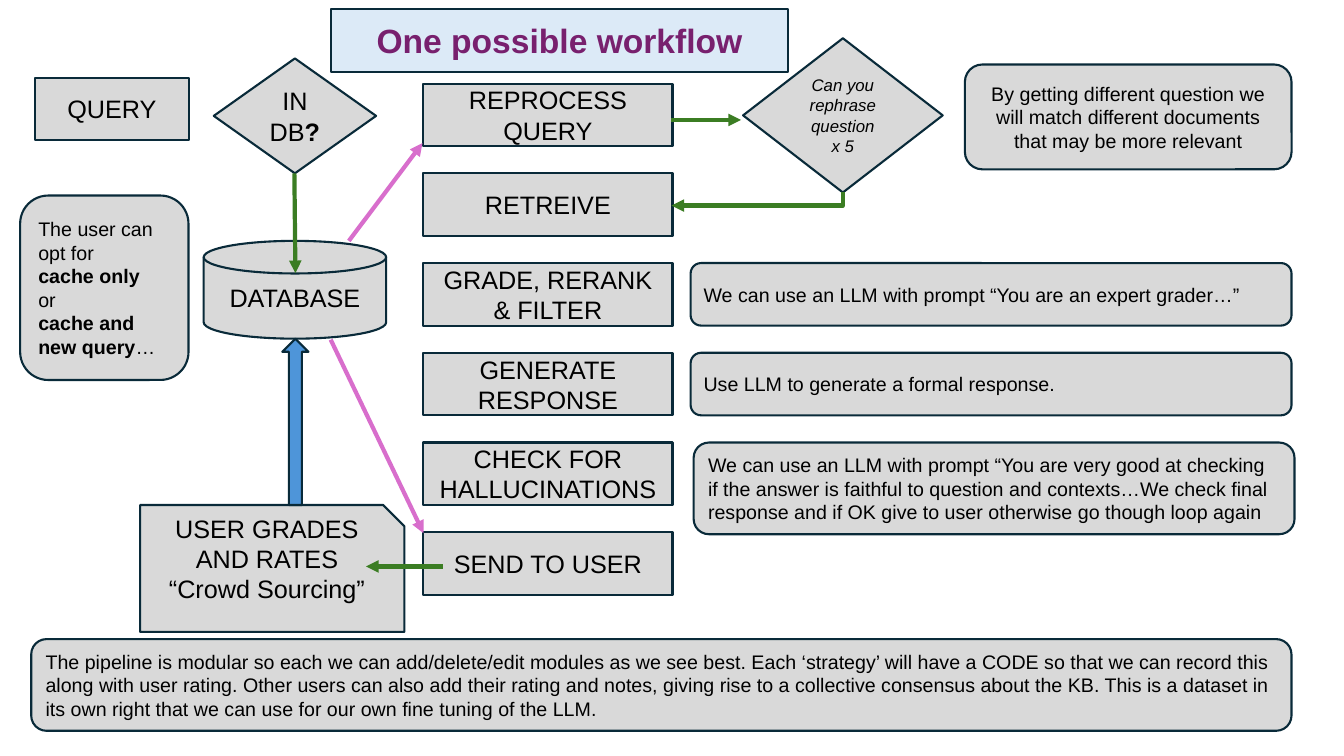
import pptx
import pptx.util
import pptx.dml.color
import pptx.enum.shapes
import pptx.enum.text
from pptx.util import Inches

RGBColor = pptx.dml.color.RGBColor
Kind = pptx.enum.shapes.MSO_SHAPE
Link = pptx.enum.shapes.MSO_CONNECTOR
Align = pptx.enum.text.PP_ALIGN
GREY = RGBColor(0xD9, 0xD9, 0xD9)
NAVY = RGBColor(0x09, 0x2A, 0x39)
BLACK = RGBColor(0, 0, 0)
BLUE = RGBColor(0x4E, 0x95, 0xD9)
PALE = RGBColor(0xDC, 0xEA, 0xF7)
PLUM = RGBColor(0x78, 0x20, 0x6E)
PINK = RGBColor(0xD8, 0x6E, 0xCC)
GREEN = RGBColor(0x3B, 0x7D, 0x23)

STEPS = ["REPROCESS QUERY", "RETREIVE", "GRADE, RERANK & FILTER",
         "GENERATE RESPONSE", "CHECK FOR\nHALLUCINATIONS", "SEND TO USER"]
PITCH = 0.89
HIGH = 0.62


def paint(shape, fill):
    shape.fill.solid()
    shape.fill.fore_color.rgb = fill
    shape.line.color.rgb = NAVY
    shape.line.width = pptx.util.Pt(1.5)


def write(shape, text, size, color=BLACK, align=Align.CENTER, italic=False):
    frame = shape.text_frame
    frame.word_wrap = True
    frame.vertical_anchor = pptx.enum.text.MSO_ANCHOR.MIDDLE
    for row, line in enumerate(text.split("\n")):
        para = frame.add_paragraph() if row else frame.paragraphs[0]
        para.alignment = align
        for part, words in enumerate(line.split("*")):
            if not words:
                continue
            run = para.add_run()
            run.text = words
            run.font.name = "Arial"
            run.font.size = pptx.util.Pt(size)
            run.font.color.rgb = color
            run.font.bold = part % 2 == 1
            run.font.italic = italic


def block(slide, kind, box, text="", size=18, fill=GREY, **style):
    shape = slide.shapes.add_shape(kind, *map(Inches, box))
    shape.shadow.inherit = False
    paint(shape, fill)
    if text:
        write(shape, text, size, **style)
    return shape


def note(slide, box, text, align=Align.LEFT):
    block(slide, Kind.ROUNDED_RECTANGLE, box, text, 14, align=align)


def arrow(slide, start, end, color, kind=Link.STRAIGHT):
    line = slide.shapes.add_connector(kind, *map(Inches, start + end))
    line.line.color.rgb = color
    line.line.width = pptx.util.Pt(3)
    props = line._element.spPr
    tip = pptx.oxml.ns.qn("a:tailEnd")
    tail = props.find(pptx.oxml.ns.qn("a:ln")).makeelement(tip, {"type": "triangle"})
    props.find(pptx.oxml.ns.qn("a:ln")).append(tail)
    props.append(props.makeelement(pptx.oxml.ns.qn("a:effectLst"), {}))
    return line


def elbow(slide, start, end):
    wide, drop = start[0] - end[0], end[1] - start[1]
    left = (start[0] + end[0] - drop) / 2
    top = (start[1] + end[1] - wide) / 2
    line = arrow(slide, (left, top), (left + drop, top + wide), GREEN, Link.ELBOW)
    props = line._element.spPr
    props.find(pptx.oxml.ns.qn("a:prstGeom")).set("prst", "bentConnector2")
    props.find(pptx.oxml.ns.qn("a:xfrm")).set("rot", "5400000")


def heading(slide, box):
    title = slide.shapes.title
    title.left, title.top, title.width, title.height = map(Inches, box)
    paint(title, PALE)
    write(title, "*One possible workflow*", 24, PLUM)
    title.text_frame.auto_size = pptx.enum.text.MSO_AUTO_SIZE.NONE


def intake(slide, x, y):
    block(slide, Kind.FLOWCHART_PROCESS, (x + 0.15, y + 0.19, 1.52, HIGH), "QUERY")
    block(slide, Kind.FLOWCHART_DECISION, (x + 1.92, y, 1.61, 1.14), "IN DB*?*")
    note(slide, (x, y + 1.36, 1.67, 1.83),
         "The user can opt for\n*cache only*\nor\n*cache and new query*…")


def store(slide, x, y):
    block(slide, Kind.FLOWCHART_MAGNETIC_DISK, (x, y, 1.81, 0.97), "DATABASE")
    card = block(slide, Kind.SNIP_1_RECTANGLE, (x - 0.63, y + 2.62, 2.62, 1.26),
                 "USER GRADES AND RATES\n“Crowd Sourcing”")
    card.text_frame.margin_bottom = Inches(0.35)
    block(slide, Kind.UP_ARROW, (x + 0.78, y + 0.97, 0.26, 1.65), fill=BLUE)


def steps(slide, x, y):
    for row, name in enumerate(STEPS):
        block(slide, Kind.FLOWCHART_PROCESS, (x, y + row * PITCH, 2.47, HIGH), name)


def remarks(slide, x, y):
    block(slide, Kind.FLOWCHART_DECISION, (x + 0.52, y - 0.45, 1.98, 1.53),
          "Can you rephrase question\nx 5", 12, italic=True)
    note(slide, (x + 2.72, y - 0.19, 3.24, 1.04),
         "By getting different question we will match different documents "
         "that may be more relevant", Align.CENTER)
    note(slide, (x, y + 2 * PITCH, 5.96, HIGH),
         "We can use an LLM with prompt “You are an expert grader…”")
    note(slide, (x, y + 3 * PITCH, 5.96, HIGH),
         "Use LLM to generate a formal response.")
    note(slide, (x + 0.03, y + 4 * PITCH, 5.96, 0.91),
         "We can use an LLM with prompt “You are very good at checking if the "
         "answer is faithful to question and contexts…We check final response "
         "and if OK give to user otherwise go though loop again")


def summary(slide, box):
    note(slide, box,
         "The pipeline is modular so each we can add/delete/edit modules as we "
         "see best. Each ‘strategy’ will have a CODE so that we can record this "
         "along with user rating. Other users can also add their rating and "
         "notes, giving rise to a collective consensus about the KB. This is a "
         "dataset in its own right that we can use for our own fine tuning of "
         "the LLM.")


def flow(slide):
    arrow(slide, (2.92, 1.72), (2.93, 2.71), GREEN)
    arrow(slide, (3.46, 2.39), (4.19, 1.42), PINK)
    arrow(slide, (3.28, 3.37), (4.2, 5.29), PINK)
    arrow(slide, (6.66, 1.19), (7.35, 1.19), GREEN)
    arrow(slide, (4.39, 5.62), (3.63, 5.62), GREEN)
    elbow(slide, (8.36, 1.91), (6.66, 2.04))


def main():
    deck = pptx.Presentation()
    deck.slide_width, deck.slide_height = Inches(13.33), Inches(7.5)
    slide = deck.slides.add_slide(deck.slide_layouts[5])
    heading(slide, (3.28, 0.09, 4.54, HIGH))
    intake(slide, 0.2, 0.58)
    store(slide, 2.02, 2.39)
    steps(slide, 4.2, 0.83)
    remarks(slide, 6.85, 0.83)
    summary(slide, (0.31, 6.34, 12.5, 0.91))
    flow(slide)
    deck.save("out.pptx")


if __name__ == "__main__":
    main()
